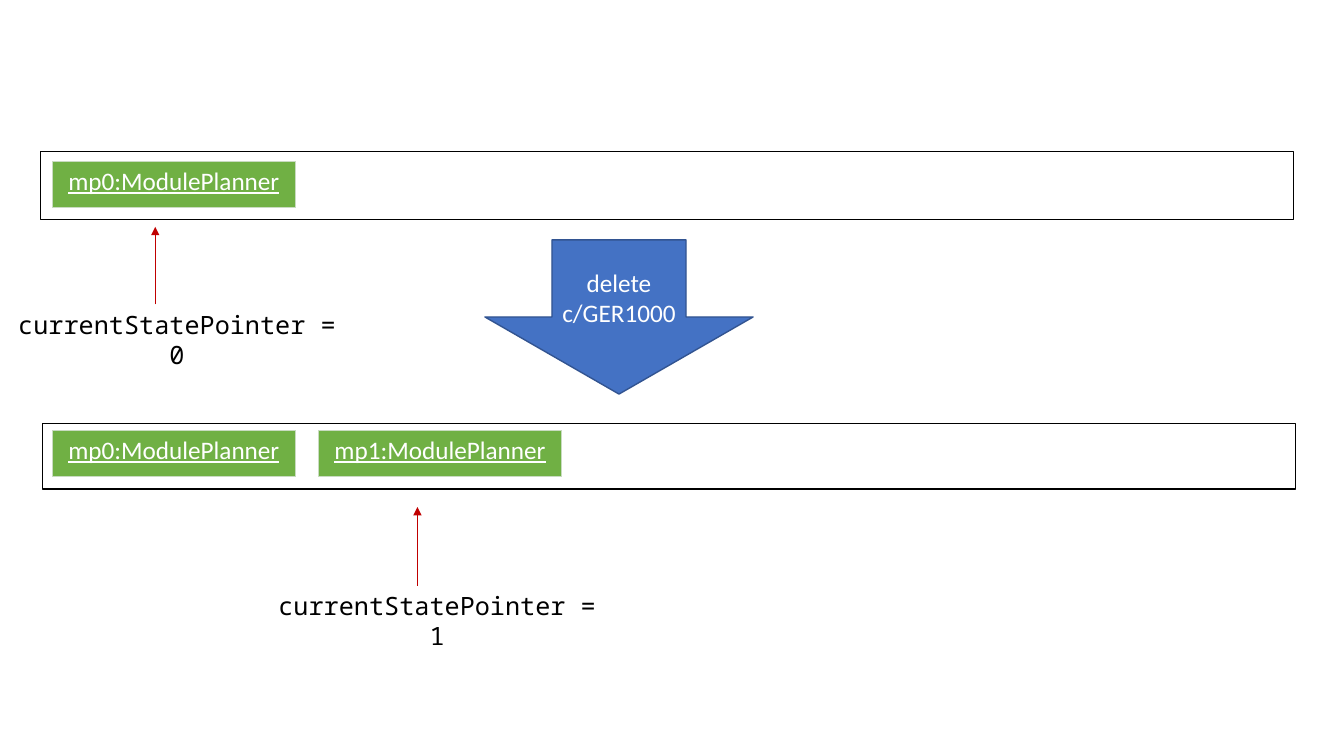
from lxml.etree import SubElement
from pptx import Presentation
from pptx.dml.color import RGBColor
from pptx.enum.shapes import MSO_CONNECTOR as Link, MSO_SHAPE as Form
from pptx.enum.text import MSO_ANCHOR as Anchor, PP_ALIGN as Align
from pptx.oxml.ns import qn
from pptx.util import Inches, Pt

CELL_W, CELL_H = 2.41, 0.46
STEP = 2.64
BAR_W = 12.43
NOTE_W, NOTE_H = 3.51, 0.4


def color(code):
    return RGBColor.from_string(code)


def inches(*sizes):
    return [Inches(size) for size in sizes]


def write(frame, text, font="Calibri", ink="FFFFFF", line=False):
    frame.word_wrap = True
    para = frame.paragraphs[0]
    para.alignment = Align.CENTER
    run = para.add_run()
    run.text = text
    run.font.name = font
    run.font.size = Pt(18)
    run.font.underline = line
    run.font.color.rgb = color(ink)


def shape(slide, form, box, edge, fill=None):
    item = slide.shapes.add_shape(form, *inches(*box))
    item.shadow.inherit = False
    if fill:
        item.fill.solid()
        item.fill.fore_color.rgb = color(fill)
    else:
        item.fill.background()
    item.line.color.rgb = color(edge)
    item.line.width = Pt(1)
    return item


def border(cell, ink):
    """Draw a thin line on all four sides; call before the cell is filled."""
    props = cell._tc.get_or_add_tcPr()
    for side in ("a:lnL", "a:lnR", "a:lnT", "a:lnB"):
        edge = SubElement(props, qn(side), w=str(Pt(0.5)))
        fill = SubElement(edge, qn("a:solidFill"))
        SubElement(fill, qn("a:srgbClr"), val=ink)


def planner(slide, left, top, name):
    """Place one saved state as a table of a single cell."""
    box = inches(left, top, CELL_W, CELL_H)
    table = slide.shapes.add_table(1, 1, *box).table
    table.first_row = table.horz_banding = False
    cell = table.cell(0, 0)
    border(cell, "C9DBC1")
    cell.fill.solid()
    cell.fill.fore_color.rgb = color("70B044")
    write(cell.text_frame, name, line=True)


def history(slide, left, top, height, start, names):
    """Draw the bar of states, with its cells starting at the point start."""
    shape(slide, Form.RECTANGLE, (left, top, BAR_W, height), "000000")
    for col, name in enumerate(names):
        planner(slide, start[0] + col * STEP, start[1], name)


def pointer(slide, left, top, tip, state):
    """Place a note with an arrow that rises to the point tip."""
    box = slide.shapes.add_textbox(*inches(left, top, NOTE_W, NOTE_H))
    write(box.text_frame, f"currentStatePointer = {state}",
          font="Noto Sans Mono", ink="000000")
    x, y = tip
    arrow = slide.shapes.add_connector(Link.STRAIGHT, *inches(x, top, x, y))
    arrow.line.color.rgb = color("C00000")
    arrow.line.width = Pt(0.5)
    SubElement(arrow.line._get_or_add_ln(), qn("a:tailEnd"), type="triangle")
    SubElement(arrow._element.spPr, qn("a:effectLst"))


def command(slide, box, text):
    arrow = shape(slide, Form.DOWN_ARROW, box, "325491", "4472C4")
    arrow.text_frame.vertical_anchor = Anchor.MIDDLE
    write(arrow.text_frame, text)


def main():
    deck = Presentation()
    deck.slide_width, deck.slide_height = inches(13.33, 7.5)
    slide = deck.slides.add_slide(deck.slide_layouts[6])
    first, second = "mp0:ModulePlanner", "mp1:ModulePlanner"
    history(slide, 0.4, 1.5, 0.68, (0.52, 1.6), [first])
    pointer(slide, 0, 3.02, (1.54, 2.25), 0)
    command(slide, (4.81, 2.38, 2.66, 1.53), "delete c/GER1000")
    history(slide, 0.42, 4.2, 0.65, (0.52, 4.27), [first, second])
    pointer(slide, 2.58, 5.81, (4.14, 5.03), 1)
    deck.save("out.pptx")


if __name__ == "__main__":
    main()
